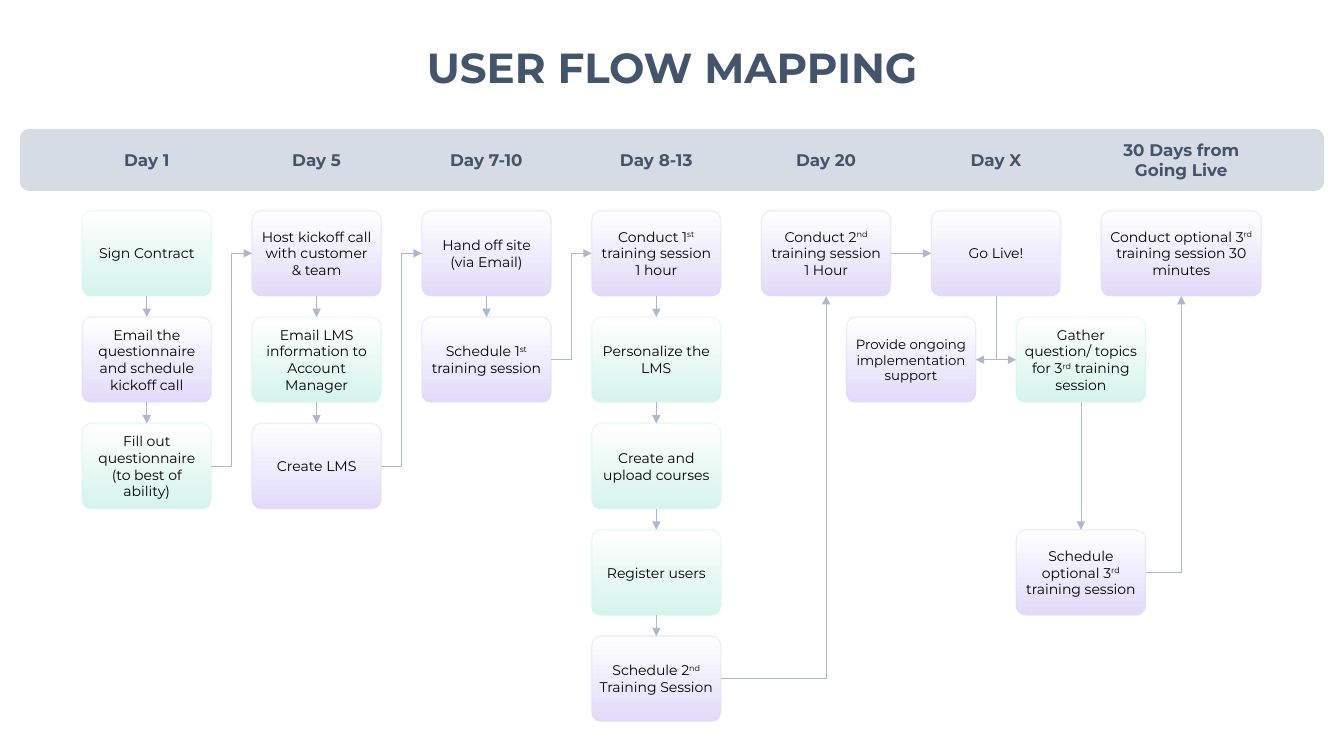
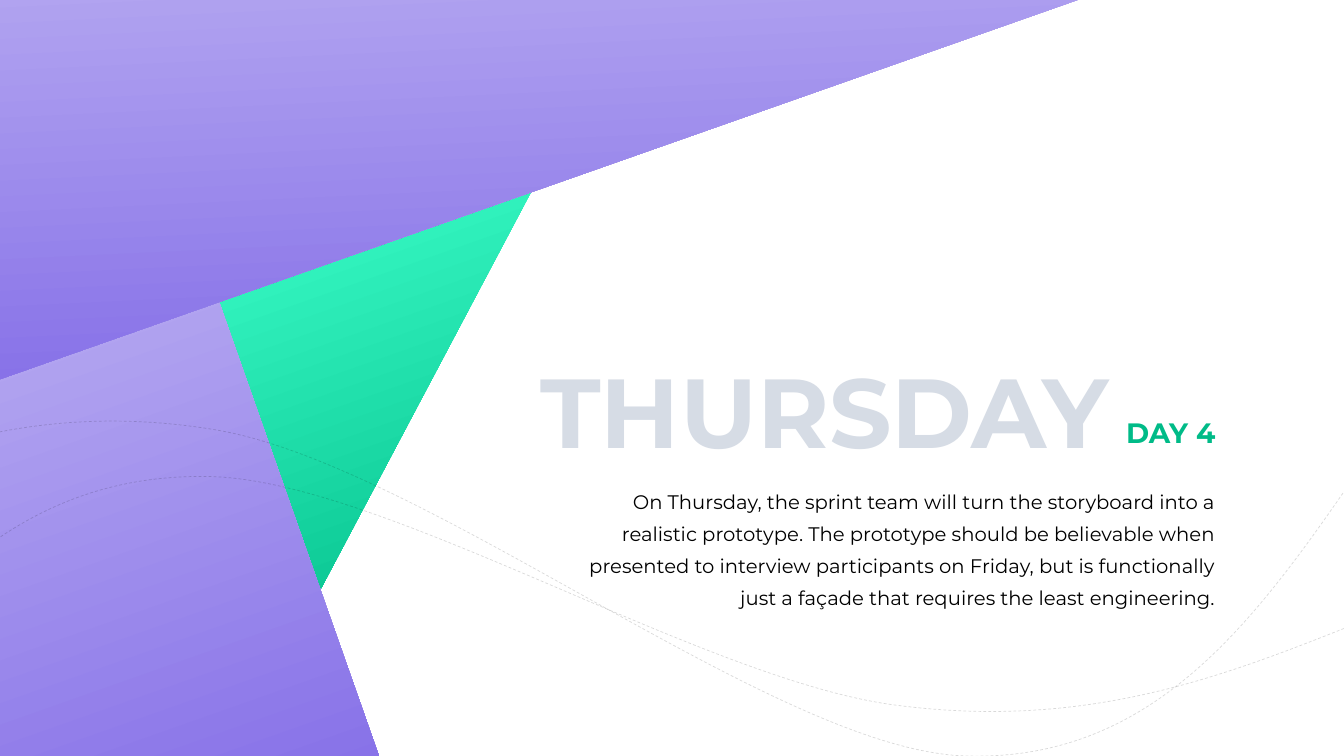
from lxml.etree import SubElement
from pptx import Presentation
from pptx.dml.color import RGBColor
from pptx.enum.dml import MSO_LINE as Dash
from pptx.enum.shapes import MSO_CONNECTOR as Conn, MSO_SHAPE as Kind
from pptx.enum.text import MSO_ANCHOR as Anchor, PP_ALIGN as Align
from pptx.oxml.ns import qn
from pptx.util import Cm, Pt

# Shared style
FONT = "Montserrat"
INK = RGBColor(0x44, 0x54, 0x6A)
BAND = RGBColor(0xD6, 0xDC, 0xE5)
WIRE = RGBColor(0xAD, 0xB9, 0xCA)
WHITE = RGBColor(0xFF, 0xFF, 0xFF)
BLACK = RGBColor(0, 0, 0)
MINT = RGBColor(0xD5, 0xF4, 0xEB)
LILAC = RGBColor(0xE1, 0xDB, 0xF9)
GREEN = RGBColor(0x00, 0xBB, 0x88)
LIME = RGBColor(0x3D, 0xFF, 0xCA)
PALE = RGBColor(0xC2, 0xB7, 0xF3)
DEEP = RGBColor(0x67, 0x4C, 0xE2)

# Flow slide: days, cards as (column, row): (fill, text, size), ^ marks raised text
DAYS = ["Day 1", "Day 5", "Day 7-10", "Day 8-13", "Day 20", "Day X",
        "30 Days from Going Live"]
CARDS = {
    (0, 0): (MINT, "Sign Contract", 10),
    (0, 2): (MINT, "Fill out questionnaire (to best of ability)", 10),
    (1, 1): (MINT, "Email LMS information to Account Manager", 10),
    (3, 1): (MINT, "Personalize the LMS", 10),
    (3, 2): (MINT, "Create and upload courses", 10),
    (3, 3): (MINT, "Register users", 10),
    (5.5, 1): (MINT, "Gather question/ topics for 3^rd^ training session", 10),
    (0, 1): (LILAC, "Email the questionnaire and schedule kickoff call", 10),
    (1, 0): (LILAC, "Host kickoff call with customer & team", 10),
    (1, 2): (LILAC, "Create LMS", 10),
    (2, 0): (LILAC, "Hand off site (via Email)", 10),
    (2, 1): (LILAC, "Schedule 1^st^ training session", 10),
    (3, 0): (LILAC, "Conduct 1^st^ training session 1 hour", 10),
    (3, 4): (LILAC, "Schedule 2^nd^ Training Session", 10),
    (4, 0): (LILAC, "Conduct 2^nd^ training session 1 Hour", 10),
    (5, 0): (LILAC, "Go Live!", 10),
    (4.5, 1): (LILAC, "Provide ongoing implementation support", 9.5),
    (5.5, 3): (LILAC, "Schedule optional 3^rd^ training session", 10),
    (6, 0): (LILAC, "Conduct optional 3^rd^ training session 30 minutes", 10),
}
TOP, LEFT, BOTTOM, RIGHT = range(4)  # connection sites
# (from, site, to, site, preset, arrow end)
LINKS = [
    ((0, 2), RIGHT, (1, 0), LEFT, "bentConnector3", "tailEnd"),
    ((1, 2), RIGHT, (2, 0), LEFT, "bentConnector3", "tailEnd"),
    ((2, 1), RIGHT, (3, 0), LEFT, "bentConnector3", "tailEnd"),
    ((3, 4), RIGHT, (4, 0), BOTTOM, "bentConnector2", "tailEnd"),
    ((4.5, 1), RIGHT, (5, 0), BOTTOM, "bentConnector2", "headEnd"),
    ((5.5, 1), LEFT, (5, 0), BOTTOM, "bentConnector2", "headEnd"),
    ((5.5, 1), BOTTOM, (5.5, 3), TOP, "line", "tailEnd"),
    ((5.5, 3), RIGHT, (6, 0), BOTTOM, "bentConnector2", "tailEnd"),
    ((4, 0), RIGHT, (5, 0), LEFT, "line", "tailEnd"),
]
X0, Y0, STEP, DROP = 2.07, 5.31, 4.28, 2.68
WIDE, LAST, TALL = 3.26, 4.04, 2.15

# Day slide: panes and curves in cm
BODY = ("On Thursday, the sprint team will turn the storyboard into a realistic "
        "prototype. The prototype should be believable when presented to interview "
        "participants on Friday, but is functionally just a façade that requires "
        "the least engineering.")
PANES = [  # preset, box, rotation, first colour, last colour
    (Kind.RIGHT_TRIANGLE, (6.65, 5.54, 8.08, 8.76), 70.6, LIME, GREEN),
    (Kind.RECTANGLE, (-8.2, 9.63, 16.71, 17.17), 70.6, PALE, DEEP),
    (Kind.RIGHT_TRIANGLE, (1.75, -21.08, 16.28, 54.31), 87.3, PALE, DEEP),
]
WAVES = [  # chained cubic curves: start, then two controls and an end each
    [(34.34, 15.65), (30.91, 17.02), (27.48, 18.39), (22.66, 17.78),
     (17.81, 17.2), (9.73, 12.12), (5.31, 12.01),
     (0.89, 11.91), (-1.47, 14.53), (-3.84, 17.15)],
    [(-7.47, 13.87), (-3.71, 11.91), (0.05, 9.96), (5.36, 10.82),
     (10.67, 11.66), (19.51, 18.9), (24.33, 19.05),
     (29.18, 19.2), (31.75, 15.47), (34.34, 11.71)],
]


def write(shape, text, size, color, bold=False, align=Align.CENTER, wrap=True,
          mid=False):
    frame = shape.text_frame
    frame.word_wrap = wrap
    frame.vertical_anchor = Anchor.MIDDLE if mid else Anchor.TOP
    para = frame.paragraphs[0]
    para.alignment = align
    for i, part in enumerate(text.split("^")):
        run = para.add_run()
        run.text = part
        font = run.font
        font.name, font.size, font.bold = FONT, Pt(size), bold
        font.color.rgb = color
        if i % 2:
            font._element.set("baseline", "30000")
    return para


def label(slide, box, *args, **opts):
    return write(slide.shapes.add_textbox(*map(Cm, box)), *args, **opts)


def shade(shape, first, last, angle):
    fill = shape.fill
    fill.gradient()
    fill.gradient_angle = angle
    for stop, color in zip(fill.gradient_stops, (first, last)):
        stop.color.rgb = color


def fade(line, color, width, alpha):
    line.color.rgb = color
    line.width = Pt(width)
    tone = line._ln.find(".//" + qn("a:srgbClr"))
    SubElement(tone, qn("a:alpha")).set("val", str(alpha * 1000))


def preset(slide, kind, box):
    shape = slide.shapes.add_shape(kind, *map(Cm, box))
    shape.shadow.inherit = False
    return shape


def rounded(slide, box, curve):
    shape = preset(slide, Kind.ROUNDED_RECTANGLE, box)
    shape.adjustments[0] = curve
    return shape


def link(slide, start, out, end, into, form, tip):
    kind = Conn.STRAIGHT if form == "line" else Conn.ELBOW
    wire = slide.shapes.add_connector(kind, 0, 0, 0, 0)
    wire.begin_connect(start, out)
    wire.end_connect(end, into)
    wire.line.color.rgb = WIRE
    wire.line.width = Pt(0.5)
    props = wire._element.spPr
    props.find(qn("a:prstGeom")).set("prst", form)
    SubElement(wire.line._ln, qn("a:" + tip)).set("type", "triangle")
    SubElement(props, qn("a:effectLst"))


def bend(slide, wave):
    """Draw chained cubic curves: join the ends, then bend each segment."""
    points = [(Cm(x), Cm(y)) for x, y in wave]
    pen = slide.shapes.build_freeform(*points[0], scale=1.0)
    pen.add_line_segments(points[3::3], close=False)
    shape = pen.convert_to_shape()
    shape.shadow.inherit = False
    for i, part in enumerate(list(shape._element.iter(qn("a:lnTo")))):
        part.tag = qn("a:cubicBezTo")
        part.remove(part[0])
        for x, y in points[3 * i + 1:3 * i + 4]:
            spot = SubElement(part, qn("a:pt"))
            spot.set("x", str(x - shape.left))
            spot.set("y", str(y - shape.top))
    return shape


def width(col):
    return LAST if col == len(DAYS) - 1 else WIDE


def flow(slide):
    label(slide, (10.41, 0.92, 13.06, 1.55), "USER FLOW MAPPING", 30, INK,
          bold=True, wrap=False)

    # Cards
    boxes = {}
    for (col, row), (color, text, size) in CARDS.items():
        card = rounded(slide, (X0 + col * STEP, Y0 + row * DROP, width(col), TALL),
                       0.118)
        shade(card, WHITE, color, 270)
        fade(card.line, color, 1, 50)
        frame = card.text_frame
        frame.margin_left = frame.margin_right = Cm(0.13)
        frame.margin_top = frame.margin_bottom = Cm(0.13)
        write(card, text, size, BLACK, mid=True)
        boxes[col, row] = card

    # Arrows: down each column, then between columns
    downs = [((c, r), BOTTOM, (c, r + 1), TOP, "line", "tailEnd")
             for c, r in sorted(boxes) if (c, r + 1) in boxes]
    for start, out, end, into, form, tip in downs + LINKS:
        link(slide, boxes[start], out, boxes[end], into, form, tip)

    # Day band
    band = rounded(slide, (0.5, 3.25, 32.87, 1.56), 0.148)
    band.fill.solid()
    band.fill.fore_color.rgb = BAND
    band.line.fill.background()
    for col, day in enumerate(DAYS):
        head = rounded(slide, (X0 + col * STEP, 3.27, width(col), 1.5), 0.5)
        head.fill.background()
        head.line.fill.background()
        write(head, day, 12, INK, bold=True, mid=True)


def thursday(slide):
    # Day and body text
    label(slide, (16.05, 10.35, 14.83, 1.12), "DAY 4", 20, GREEN, bold=True,
          align=Align.RIGHT).space_after = Pt(6)
    label(slide, (14.53, 11.99, 16.35, 3.45), BODY, 14, BLACK,
          align=Align.RIGHT).line_spacing = Pt(23)

    # Colour panes
    for kind, box, turn, first, last in PANES:
        pane = preset(slide, kind, box)
        pane.rotation = turn
        shade(pane, first, last, 0)
        pane.line.fill.background()

    # Dashed waves
    for wave in WAVES:
        curve = bend(slide, wave)
        curve.fill.background()
        fade(curve.line, BLACK, 0.5, 15)
        curve.line.dash_style = Dash.DASH

    label(slide, (13.08, 8.71, 15.11, 3.25), "THURSDAY", 70, BAND, bold=True,
          align=Align.RIGHT, wrap=False)


def main():
    deck = Presentation()
    deck.slide_width, deck.slide_height = Cm(33.87), Cm(19.05)
    for build in (flow, thursday):
        build(deck.slides.add_slide(deck.slide_layouts[6]))
    deck.save("out.pptx")


if __name__ == "__main__":
    main()
